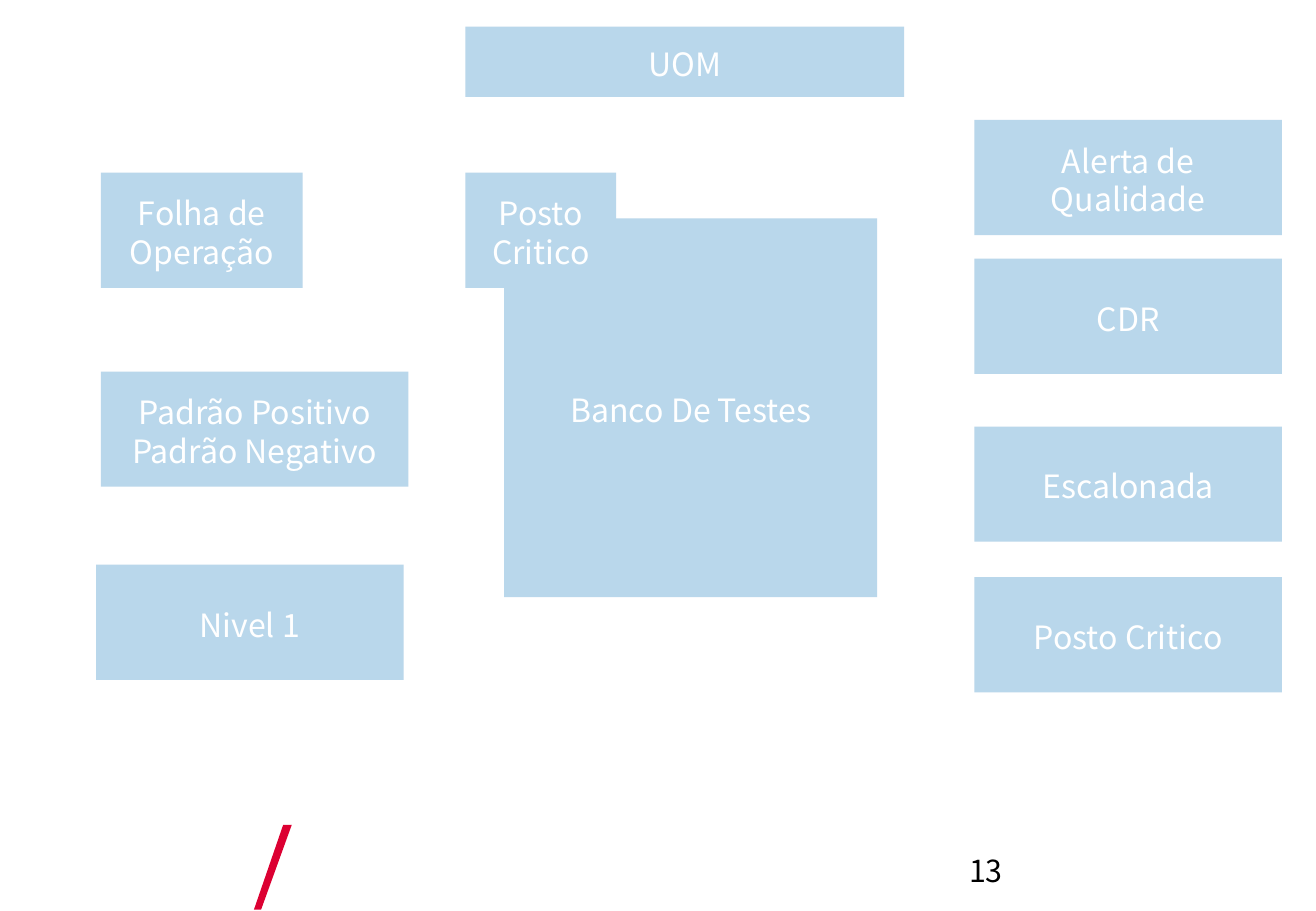
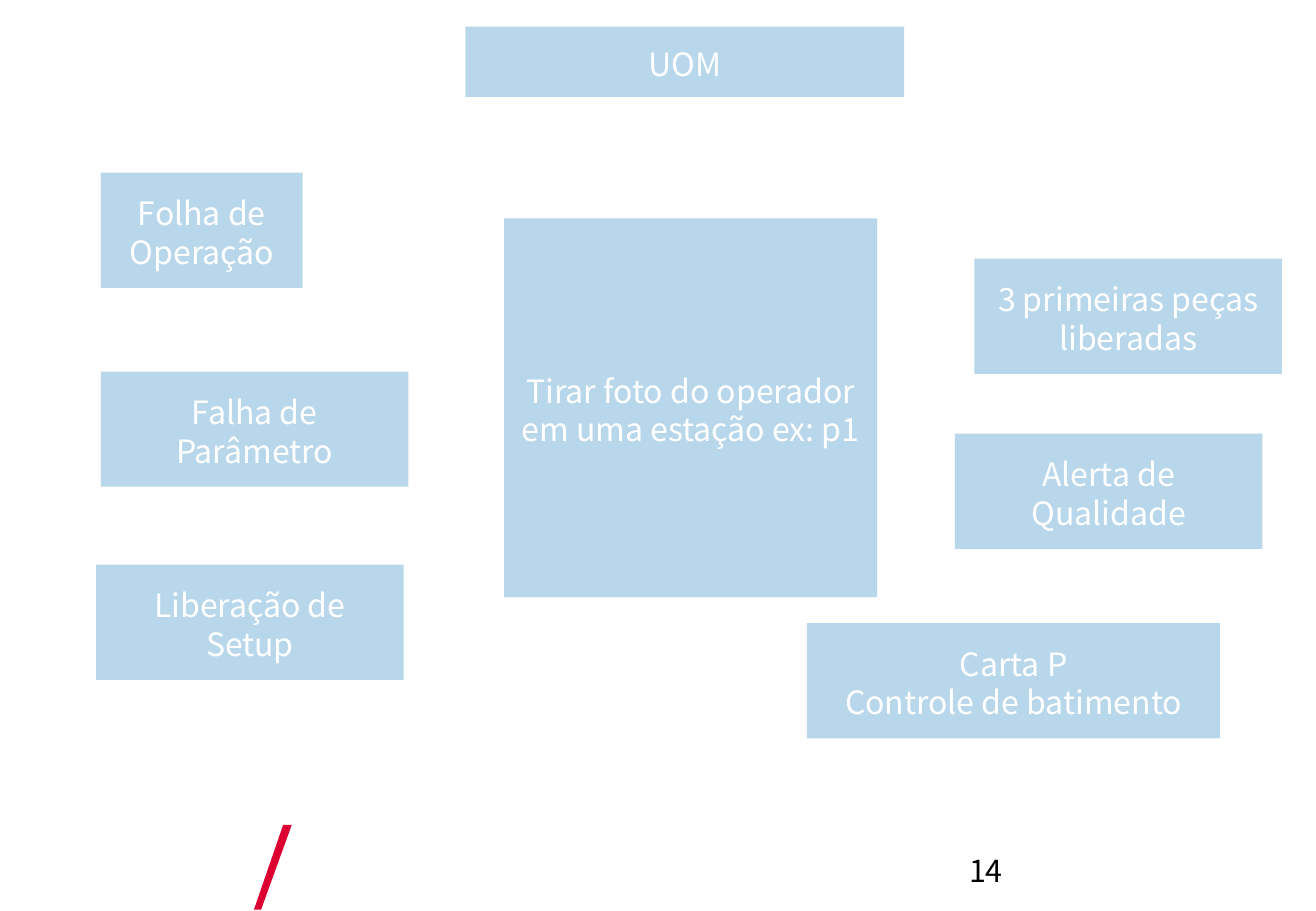
from pptx import Presentation
from pptx.dml.color import RGBColor
from pptx.enum.shapes import MSO_SHAPE as Shape
from pptx.enum.text import MSO_ANCHOR as Anchor, PP_ALIGN as Align
from pptx.util import Cm, Pt

COLORS = {"paper": "FFFFFF", "card": "B9D7EB", "card_text": "FFFFFF",
          "slash": "DC0032", "number": "000000"}
FONT = "Noto Sans CJK JP"
CARD_WIDTH, CARD_HEIGHT = 6.43, 2.41
LEFT, LEFT_LOW, RIGHT = 2.11, 2.01, 20.37
LEFT_ROWS = (3.61, 7.77, 11.81)


def color(name):
    """Return the palette colour with this name."""
    return RGBColor.from_string(COLORS[name])


def paint(shape, name):
    """Give a shape a flat fill with no line or shadow."""
    shape.shadow.inherit = False
    shape.fill.solid()
    shape.fill.fore_color.rgb = color(name)
    shape.line.fill.background()


def write(box, text, *, size=19, ink="card_text", align=Align.CENTER):
    """Write formatted text, one paragraph per line, in the middle of a box."""
    frame = box.text_frame
    frame.word_wrap = True
    frame.vertical_anchor = Anchor.MIDDLE
    frame.margin_left = frame.margin_right = Cm(0.3)
    frame.margin_top, frame.margin_bottom = Cm(0.2), Cm(0.12)
    frame.text = text
    for para in frame.paragraphs:
        para.alignment = align
        para.line_spacing = Pt(size * 1.2)
        para.font.name = FONT
        para.font.size = Pt(size)
        para.font.color.rgb = color(ink)


def add_card(page, text, left, top, width=CARD_WIDTH, height=CARD_HEIGHT):
    """Add a labelled rectangle, placed in centimetres."""
    card = page.shapes.add_shape(
        Shape.RECTANGLE, Cm(left), Cm(top), Cm(width), Cm(height))
    paint(card, "card")
    write(card, text)


def add_slash(page):
    """Add the slanted footer stroke."""
    corners = [(Cm(x), Cm(y)) for x, y in
               ((6.1, 17.25), (5.92, 17.25), (5.31, 19.02), (5.46, 19.02))]
    builder = page.shapes.build_freeform(*corners[0])
    builder.add_line_segments(corners[1:], close=True)
    paint(builder.convert_to_shape(), "slash")


def add_station_page(deck, number, station, left_labels):
    """Add a page with the footer, header, central station and left column."""
    page = deck.slides.add_slide(deck.slide_layouts[6])
    add_slash(page)
    box = page.shapes.add_textbox(Cm(19.96), Cm(17.65), Cm(6.2), Cm(1.02))
    write(box, str(number), size=18, ink="number", align=Align.LEFT)
    add_card(page, station, 10.54, 4.57, 7.8, 7.92)
    add_card(page, "UOM", 9.73, 0.56, 9.17, 1.47)
    columns = ((LEFT, 4.22), (LEFT, CARD_WIDTH), (LEFT_LOW, CARD_WIDTH))
    for label, top, (left, width) in zip(left_labels, LEFT_ROWS, columns):
        add_card(page, label, left, top, width)
    return page


def add_test_bench(deck):
    """Add the test bench page."""
    page = add_station_page(
        deck, 13, "Banco De Testes",
        ("Folha de Operação", "Padrão Positivo\nPadrão Negativo", "Nivel 1"))
    add_card(page, "Posto Critico", 9.73, LEFT_ROWS[0], 3.15)
    for label, top in (("Alerta de Qualidade", 2.51), ("CDR", 5.41),
                       ("Escalonada", 8.92), ("Posto Critico", 12.07)):
        add_card(page, label, RIGHT, top)


def add_operator_station(deck):
    """Add the operator station page."""
    page = add_station_page(
        deck, 14, "Tirar foto do operador em uma estação ex: p1",
        ("Folha de Operação", "Falha de Parâmetro", "Liberação de Setup"))
    add_card(page, "3 primeiras peças liberadas", RIGHT, 5.41)
    add_card(page, "Alerta de Qualidade", 19.96, 9.07)
    add_card(page, "Carta P\nControle de batimento", 16.87, 13.03, 8.64)


def main():
    """Build and save the deck."""
    deck = Presentation()
    deck.slide_width, deck.slide_height = Cm(27.51), Cm(19.05)
    backdrop = deck.slide_master.background.fill
    backdrop.solid()
    backdrop.fore_color.rgb = color("paper")
    add_test_bench(deck)
    add_operator_station(deck)
    deck.save("out.pptx")


if __name__ == "__main__":
    main()
